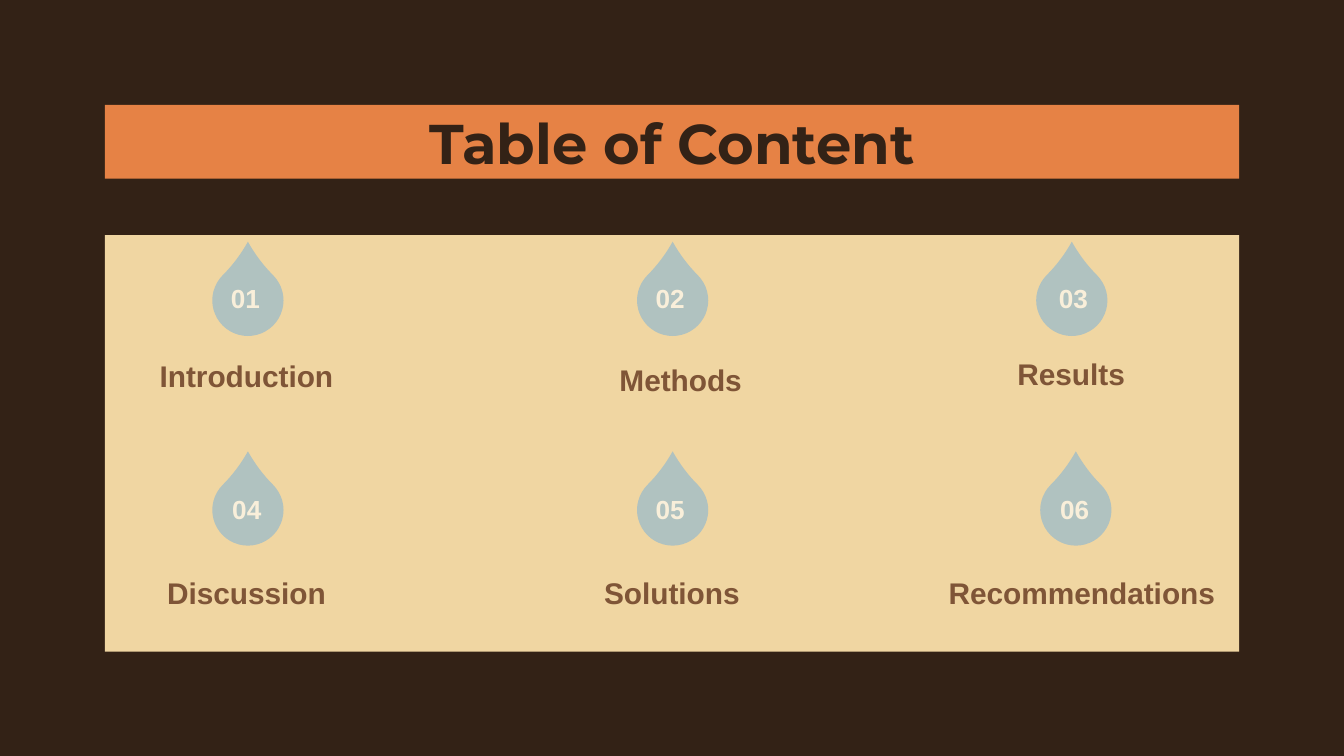
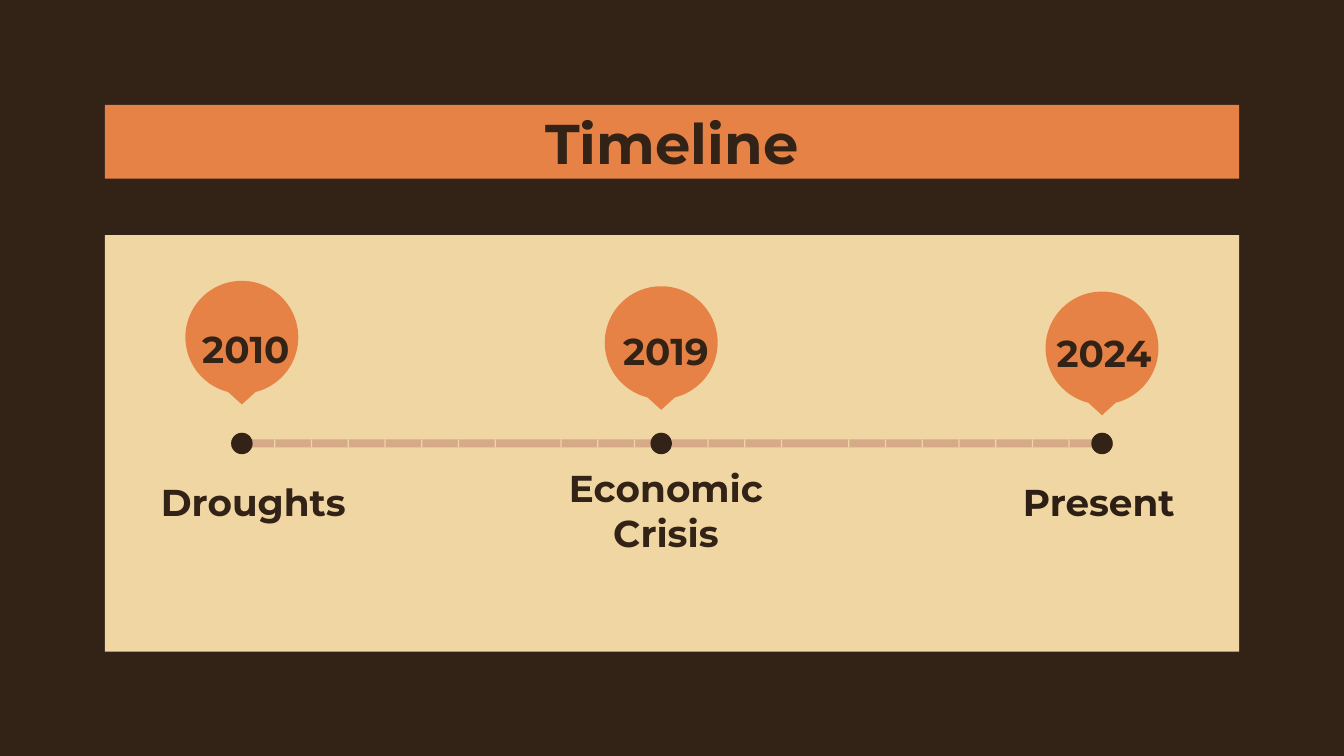
import math
from dataclasses import dataclass

import pptx
import pptx.dml.color
import pptx.enum.shapes
import pptx.enum.text
import pptx.util

Inches = pptx.util.Inches
Shape = pptx.enum.shapes.MSO_SHAPE
Align = pptx.enum.text.PP_ALIGN
Anchor = pptx.enum.text.MSO_ANCHOR

DARK, SAND, ORANGE = "332216", "F0D6A2", "E68245"
MIST, BROWN, CREAM, ROSE, INK = "B0C2C0", "7F5537", "F9EFDA", "D6AA89", "2E1F14"
Box = tuple[float, float, float, float]


@dataclass(frozen=True)
class Style:
    """Look of a piece of text."""
    font: str
    size: int
    color: str
    align: Align = Align.CENTER
    pad: float = 0.1
    anchor: Anchor = Anchor.MIDDLE
    after: int = 0
    grow: bool = False


@dataclass(frozen=True)
class Topic:
    """Numbered drop with its label."""
    num: str
    name: str
    drop: tuple[float, float]
    mark: tuple[float, float]
    label: tuple[float, float, float]


@dataclass(frozen=True)
class Event:
    """Dated pin with its label."""
    year: str
    name: str
    tip: tuple[float, float]
    date: Box
    label: Box
    color: str = DARK


HEAD = Style("Montserrat", 30, DARK)
LABEL = Style("Arial", 16, BROWN, pad=0.05, anchor=Anchor.TOP, grow=True)
MARK = Style("Arial", 14, CREAM, Align.LEFT, 0.05, Anchor.TOP, grow=True)
YEAR = Style("Montserrat", 20, DARK, after=12)

TOPICS = [
    Topic("01", "Introduction", (1.58, 1.97), (1.62, 2.05), (1.07, 2.61, 1.53)),
    Topic("02", "Methods", (4.74, 1.97), (4.78, 2.05), (4.01, 2.64, 2.11)),
    Topic("03", "Results", (7.71, 1.97), (7.78, 2.05), (7.36, 2.6, 1.22)),
    Topic("04", "Discussion", (1.58, 3.53), (1.63, 3.62), (1.12, 4.23, 1.43)),
    Topic("05", "Solutions", (4.74, 3.53), (4.78, 3.62), (4.28, 4.23, 1.44)),
    Topic("06", "Recommendations", (7.74, 3.53), (7.79, 3.62), (6.7, 4.23, 2.7)),
]
EVENTS = [
    Event("2010", "Droughts", (1.8, 3.01), (1.36, 2.4, 0.94, 0.38), (0.84, 3.55, 2.09, 0.37)),
    Event("2019", "Economic Crisis", (4.92, 3.05), (4.44, 2.44, 1.03, 0.34), (4.1, 3.61, 1.71, 0.37)),
    Event("2024", "Present", (8.2, 3.09), (7.73, 2.4, 0.97, 0.45), (7.32, 3.55, 1.71, 0.37), INK),
]


def paint(fill, color: str) -> None:
    """Make a fill solid in a hex colour."""
    fill.solid()
    fill.fore_color.rgb = pptx.dml.color.RGBColor.from_string(color)


def finish(shape, color: str):
    """Give a shape a flat fill with no line or shadow."""
    paint(shape.fill, color)
    shape.line.fill.background()
    shape.shadow.inherit = False
    return shape


def draw(slide, kind: Shape, box: Box, color: str):
    """Add a preset shape."""
    return finish(slide.shapes.add_shape(kind, *map(Inches, box)), color)


def write(shape, text: str, style: Style) -> None:
    """Put styled text into a shape."""
    frame = shape.text_frame
    frame.word_wrap = True
    frame.vertical_anchor = style.anchor
    frame.margin_left = frame.margin_right = Inches(0.1)
    frame.margin_top = frame.margin_bottom = Inches(style.pad)
    if style.grow:
        frame.auto_size = pptx.enum.text.MSO_AUTO_SIZE.SHAPE_TO_FIT_TEXT
    para = frame.paragraphs[0]
    para.text = text
    para.alignment = style.align
    if style.after:
        para.space_after = pptx.util.Pt(style.after)
    para.font.name = style.font
    para.font.size = pptx.util.Pt(style.size)
    para.font.bold = True
    paint(para.font.fill, style.color)


def note(slide, box: Box, text: str, style: Style) -> None:
    """Add a text box."""
    write(slide.shapes.add_textbox(*map(Inches, box)), text, style)


def start(deck, title: str):
    """Add a slide with the shared panel and title band."""
    slide = deck.slides.add_slide(deck.slide_layouts[6])
    paint(slide.background.fill, DARK)
    draw(slide, Shape.RECTANGLE, (0.78, 1.75, 8.44, 3.1), SAND)
    band = draw(slide, Shape.RECTANGLE, (0.78, 0.78, 8.44, 0.55), ORANGE)
    write(band, title, HEAD)
    return slide


def pin(slide, x: float, y: float) -> None:
    """Draw a round map pin with its tip at x, y."""
    radius, rise = 0.42, 0.5
    points = [
        (x + radius * math.cos(math.radians(deg)), y - rise + radius * math.sin(math.radians(deg)))
        for deg in range(76, -257, -4)
    ]
    path = slide.shapes.build_freeform(Inches(x), Inches(y))
    path.add_line_segments([(Inches(px), Inches(py)) for px, py in points], close=True)
    finish(path.convert_to_shape(), ORANGE)


def contents(deck) -> None:
    """Build the table of contents."""
    slide = start(deck, "Table of Content")
    for topic in TOPICS:
        drop = draw(slide, Shape.TEAR, (*topic.drop, 0.53, 0.53), MIST)
        drop.adjustments[0] = 1.165
        drop.rotation = 315
        note(slide, (*topic.label, 0.37), topic.name, LABEL)
        note(slide, (*topic.mark, 0.44, 0.34), topic.num, MARK)


def timeline(deck) -> None:
    """Build the timeline."""
    slide = start(deck, "Timeline")
    draw(slide, Shape.ROUNDED_RECTANGLE, (1.72, 3.27, 6.56, 0.06), ROSE)
    for left in (2.04, 4.17, 6.31):
        for step in range(7):
            draw(slide, Shape.RECTANGLE, (left + step * 1.64 / 6, 3.27, 0.01, 0.06), SAND)
    for event in EVENTS:
        x, y = event.tip
        draw(slide, Shape.OVAL, (x - 0.08, 3.22, 0.16, 0.16), DARK)
        pin(slide, x, y)
        note(slide, event.date, event.year, YEAR)
        note(slide, event.label, event.name, Style("Montserrat", 20, event.color))


def main() -> None:
    """Build and save the deck."""
    deck = pptx.Presentation()
    deck.slide_width = Inches(10)
    deck.slide_height = deck.slide_width * 9 // 16
    contents(deck)
    timeline(deck)
    deck.save("out.pptx")


if __name__ == "__main__":
    main()
